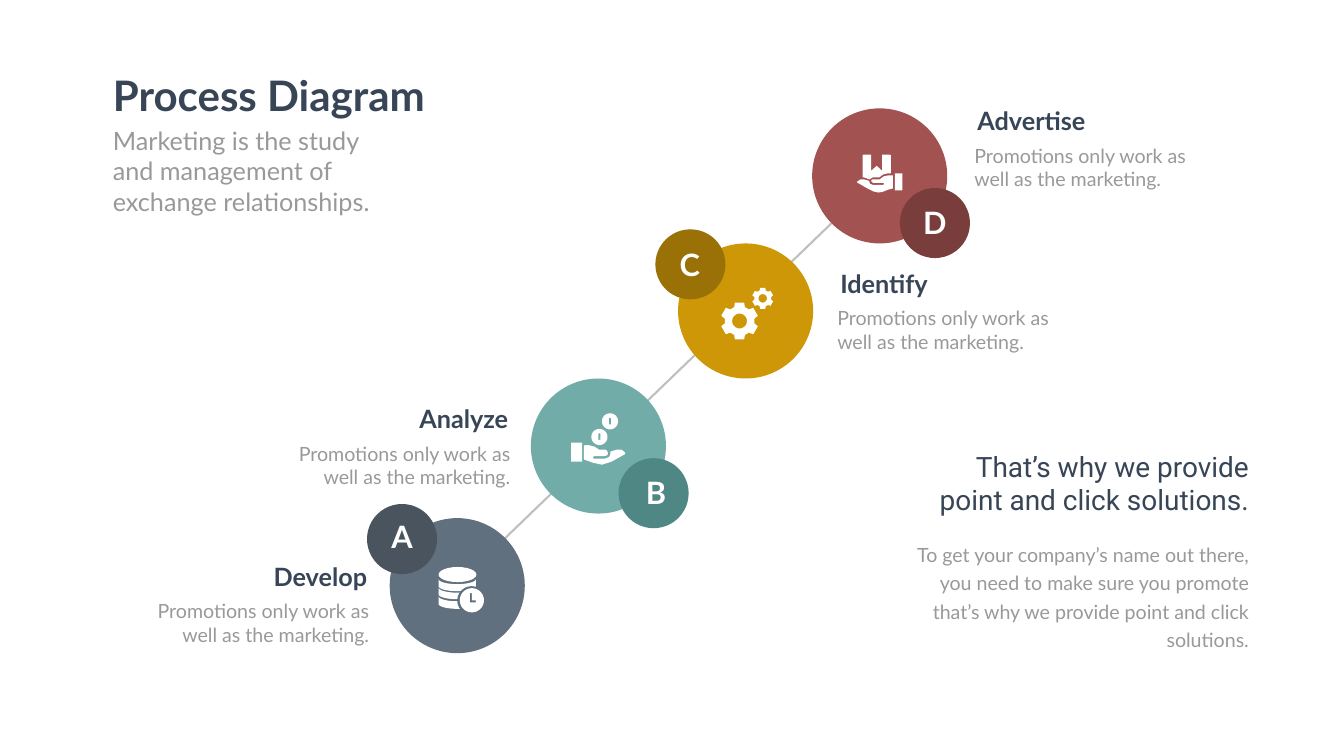
from math import cos, radians, sin
from typing import NamedTuple

from pptx import Presentation
from pptx.dml.color import RGBColor
from pptx.enum.shapes import MSO_CONNECTOR as Connector, MSO_SHAPE as Shape
from pptx.enum.text import PP_ALIGN as Align
from pptx.oxml.ns import qn
from pptx.util import Inches, Pt
from lxml.etree import SubElement

PAPER = RGBColor(0xFE, 0xFF, 0xFE)
WHITE = RGBColor(0xFF, 0xFF, 0xFF)
NAVY = RGBColor(0x37, 0x45, 0x56)
GRAY = RGBColor(0x99, 0x99, 0x99)
LINE_GRAY = RGBColor(0x80, 0x80, 0x80)
SLATE = RGBColor(0x61, 0x70, 0x7F)
DARK_SLATE = RGBColor(0x49, 0x54, 0x5F)
TEAL = RGBColor(0x72, 0xAC, 0xA9)
DARK_TEAL = RGBColor(0x4F, 0x87, 0x84)
GOLD = RGBColor(0xCD, 0x97, 0x08)
DARK_GOLD = RGBColor(0x9A, 0x71, 0x06)
RED = RGBColor(0xA2, 0x52, 0x50)
DARK_RED = RGBColor(0x79, 0x3E, 0x3C)

DISC = 2.68
BADGE = 1.39
UPPER_LEFT = (-0.45, -0.28)
LOWER_RIGHT = (1.74, 1.58)
DETAIL = "Promotions only work as well as the marketing."

COIN_PALM = [
    (12.4, 8.98), (12.33, 8.92), (12.24, 8.92), (12.11, 8.96), (12.11, 9.01),
    (12.08, 9.07), (12, 9.1), (11.78, 9.1), (11.76, 9.08), (11.78, 9.05),
    (12, 9.05), (12.05, 9.03), (12.06, 8.99), (12.04, 8.94), (12, 8.92),
    (11.88, 8.92), (11.79, 8.86), (11.67, 8.83), (11.6, 8.83), (11.58, 8.85),
    (11.58, 9.1), (11.59, 9.12), (11.76, 9.18), (11.94, 9.22), (12.13, 9.16),
    (12.4, 9.01),
]
PARCEL_PALM = [
    (17.71, 3.48), (17.62, 3.48), (17.53, 3.5), (17.45, 3.56), (17.3, 3.56),
    (17.28, 3.59), (17.32, 3.63), (17.52, 3.63), (17.54, 3.65), (17.52, 3.67),
    (17.32, 3.67), (17.26, 3.65), (17.24, 3.59), (17.14, 3.56), (17.07, 3.56),
    (17.01, 3.6), (17, 3.62), (17.19, 3.73), (17.33, 3.8), (17.42, 3.82),
    (17.5, 3.81), (17.63, 3.76), (17.71, 3.74),
]
PARCEL = [
    (17.65, 3.07), (17.5, 3.07), (17.5, 3.39), (17.39, 3.29), (17.28, 3.39),
    (17.28, 3.07), (17.13, 3.07), (17.11, 3.08), (17.11, 3.52), (17.14, 3.52),
    (17.25, 3.56), (17.31, 3.52), (17.44, 3.52), (17.52, 3.46), (17.61, 3.44),
    (17.67, 3.44), (17.67, 3.08),
]


class Stage(NamedTuple):
    """One step of the process."""
    letter: str
    title: str
    color: RGBColor
    badge_color: RGBColor
    disc: tuple
    badge_offset: tuple
    letter_at: tuple
    title_at: tuple
    align: Align


STAGES = [
    Stage("A", "Develop", SLATE, DARK_SLATE, (7.73, 10.28), UPPER_LEFT,
          (7.44, 10.23), (4.77, 11.08), Align.RIGHT),
    Stage("B", "Analyze", TEAL, DARK_TEAL, (10.53, 7.51), LOWER_RIGHT,
          (12.48, 9.35), (7.57, 7.95), Align.RIGHT),
    Stage("D", "Advertise", RED, DARK_RED, (16.11, 2.15), LOWER_RIGHT,
          (18.01, 4), (19.29, 2.04), Align.LEFT),
    Stage("C", "Identify", GOLD, DARK_GOLD, (13.45, 4.83), UPPER_LEFT,
          (13.15, 4.82), (16.57, 5.27), Align.LEFT),
]


def add_text(page, text, left, top, width, height, *, size, color=GRAY,
             font="Lato", bold=False, align=Align.LEFT, spacing=None):
    """Add a wrapped text box holding one paragraph."""
    box = page.shapes.add_textbox(*map(Inches, (left, top, width, height)))
    box.text_frame.word_wrap = True
    para = box.text_frame.paragraphs[0]
    para.alignment = align
    if spacing:
        para.line_spacing = Pt(spacing)
    span = para.add_run()
    span.text = text
    span.font.name, span.font.size, span.font.bold = font, Pt(size), bold
    span.font.color.rgb = color


def paint(shape, color):
    """Give a shape a plain fill without line or shadow."""
    shape.shadow.inherit = False
    shape.fill.solid()
    shape.fill.fore_color.rgb = color
    shape.line.fill.background()


def add_preset(page, kind, left, top, width, height, color=WHITE):
    """Add a plain preset shape."""
    shape = page.shapes.add_shape(kind, *map(Inches, (left, top, width, height)))
    paint(shape, color)


def add_outline(page, *contours):
    """Add a white freeform made of closed contours, the later ones as holes."""
    contours = [[(Inches(x), Inches(y)) for x, y in points] for points in contours]
    builder = page.shapes.build_freeform(*contours[0][0])
    for index, points in enumerate(contours):
        if index:
            builder.move_to(*points[0])
        builder.add_line_segments(points[1:], close=True)
    paint(builder.convert_to_shape(), WHITE)


def add_track(page):
    """Add the half transparent line that joins the discs."""
    track = page.shapes.add_connector(
        Connector.STRAIGHT, *map(Inches, (8.67, 11.98, 18.09, 2.89)))
    track.line.width = Pt(3)
    track.line.color.rgb = LINE_GRAY
    properties = track._element.spPr
    color = properties.find(".//" + qn("a:srgbClr"))
    SubElement(color, qn("a:alpha"), val="50000")
    SubElement(properties, qn("a:effectLst"))


def add_stage(page, stage):
    """Add the disc, badge, letter and texts of a stage."""
    left, top = stage.disc
    add_preset(page, Shape.OVAL, left, top, DISC, DISC, stage.color)
    add_preset(page, Shape.OVAL, left + stage.badge_offset[0],
               top + stage.badge_offset[1], BADGE, BADGE, stage.badge_color)
    add_text(page, stage.letter, *stage.letter_at, 1.07, 0.84, size=44,
             color=WHITE, bold=True, align=Align.CENTER)
    left, top = stage.title_at
    add_text(page, stage.title, left, top, 2.61, 0.71, size=36, color=NAVY,
             bold=True, align=stage.align)
    shift = -0.06 if stage.align == Align.LEFT else -2.39
    add_text(page, DETAIL, left + shift, top + 0.76, 5.04, 1.04, size=28,
             align=stage.align)


def arc(x, y, radius_x, radius_y, start, end, steps=36):
    """Return points along an elliptical arc, with angles in degrees."""
    angles = [radians(start + (end - start) * i / steps) for i in range(steps + 1)]
    return [(x + radius_x * cos(a), y + radius_y * sin(a)) for a in angles]


def circle(x, y, radius, turn=360):
    """Return points around a circle."""
    return arc(x, y, radius, radius, 0, turn)[:-1]


def add_gear(page, x, y, radius):
    """Add a gear with six teeth and a round hole."""
    profile = [(-21, 0.8), (-14, 1.02), (14, 1.02), (21, 0.8)]
    teeth = [(x + radius * reach * cos(radians(60 * tooth + 30 + angle)),
              y + radius * reach * sin(radians(60 * tooth + 30 + angle)))
             for tooth in range(6) for angle, reach in profile]
    add_outline(page, teeth, circle(x, y, radius * 0.4, -360))


def add_coin(page, x, y):
    """Add a coin with an upright slot."""
    slot = [(x - 0.02, y - 0.07), (x - 0.02, y + 0.06),
            (x + 0.02, y + 0.06), (x + 0.02, y - 0.07)]
    add_outline(page, circle(x, y, 0.16), slot)


def add_database(page):
    """Add the stacked database with its clock."""
    add_preset(page, Shape.OVAL, 8.7, 11.25, 0.75, 0.3)
    for top, depth, end in ((11.49, 0.14, 0), (11.66, 0.13, 82), (11.83, 0.15, 82)):
        edge = arc(9.07, top, 0.37, 0.1, 180, end)
        add_outline(page, edge + [(x, y + depth) for x, y in reversed(edge)])
    add_preset(page, Shape.OVAL, 9.07, 11.63, 0.57, 0.57, SLATE)
    hands = [(9.32, 11.77), (9.32, 11.95), (9.44, 11.95),
             (9.44, 11.91), (9.36, 11.91), (9.36, 11.77)]
    add_outline(page, circle(9.36, 11.91, 0.24), hands)


def add_icons(page):
    """Add the icon of each disc."""
    add_database(page)
    add_preset(page, Shape.RECTANGLE, 17.75, 3.44, 0.15, 0.34)
    add_outline(page, PARCEL)
    add_outline(page, PARCEL_PALM)
    add_preset(page, Shape.RECTANGLE, 11.33, 8.78, 0.22, 0.38)
    add_outline(page, COIN_PALM)
    add_coin(page, 12.1, 8.36)
    add_coin(page, 11.89, 8.67)
    add_gear(page, 14.67, 6.37, 0.37)
    add_gear(page, 15.13, 5.92, 0.21)


def main():
    """Build the process diagram slide."""
    deck = Presentation()
    deck.slide_width, deck.slide_height = Inches(26.66), Inches(15)
    page = deck.slides.add_slide(deck.slide_layouts[6])
    page.background.fill.solid()
    page.background.fill.fore_color.rgb = PAPER
    add_track(page)
    for stage in STAGES:
        add_stage(page, stage)
    add_text(page, "That’s why we provide point and click solutions.",
             18.09, 8.86, 6.78, 1.45, size=40, color=NAVY, font="Roboto",
             align=Align.RIGHT)
    add_text(page, "To get your company’s name out there, you need to make sure "
             "you promote that’s why we provide point and click solutions.",
             18.09, 10.62, 6.78, 2.34, size=28, align=Align.RIGHT, spacing=40.8)
    add_icons(page)
    add_text(page, "Process Diagram", 2.14, 1.33, 7.15, 1.11, size=60,
             color=NAVY, bold=True)
    add_text(page, "Marketing is the study and management of exchange relationships.",
             2.14, 2.44, 5.96, 1.92, size=36)
    deck.save("out.pptx")


if __name__ == "__main__":
    main()
